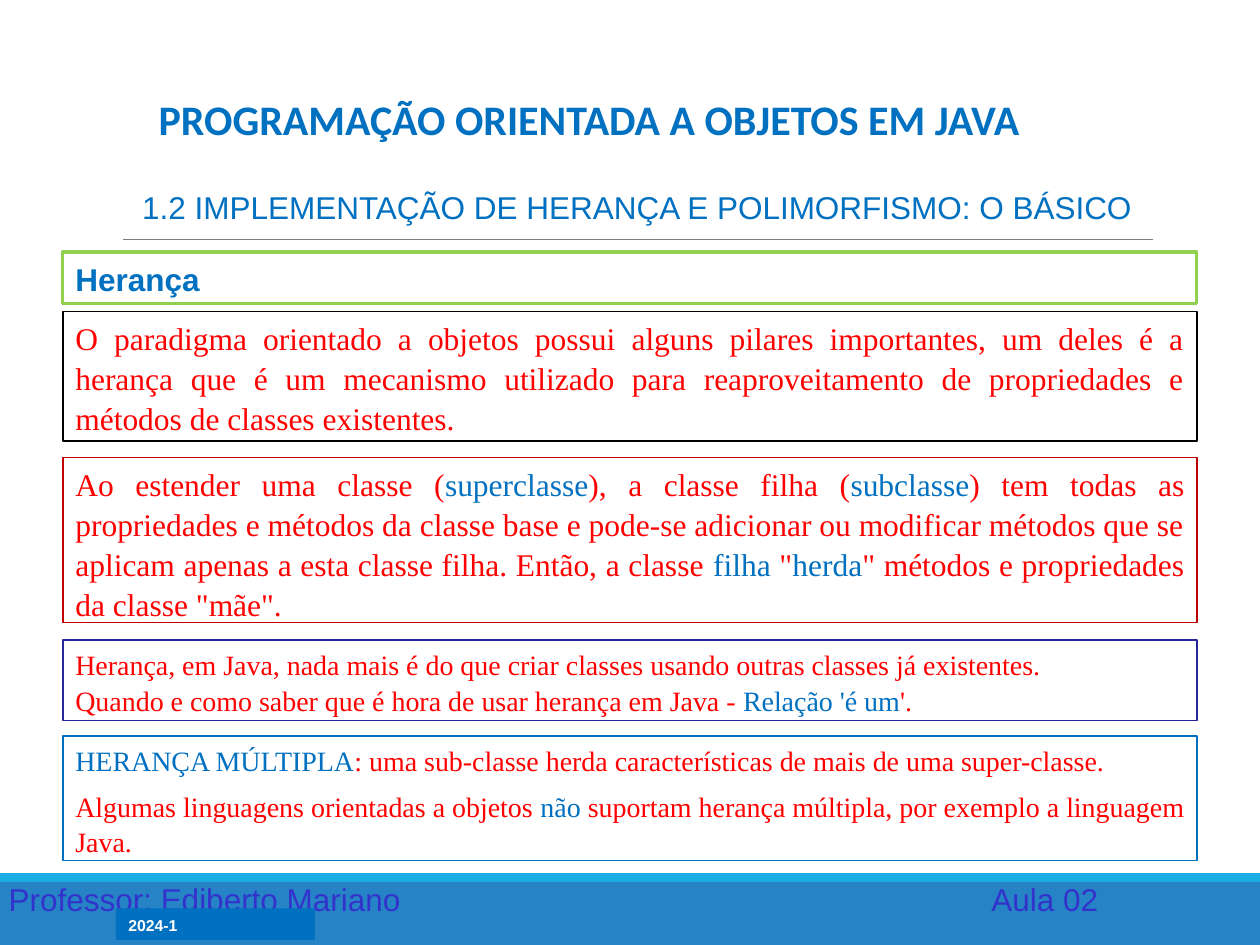
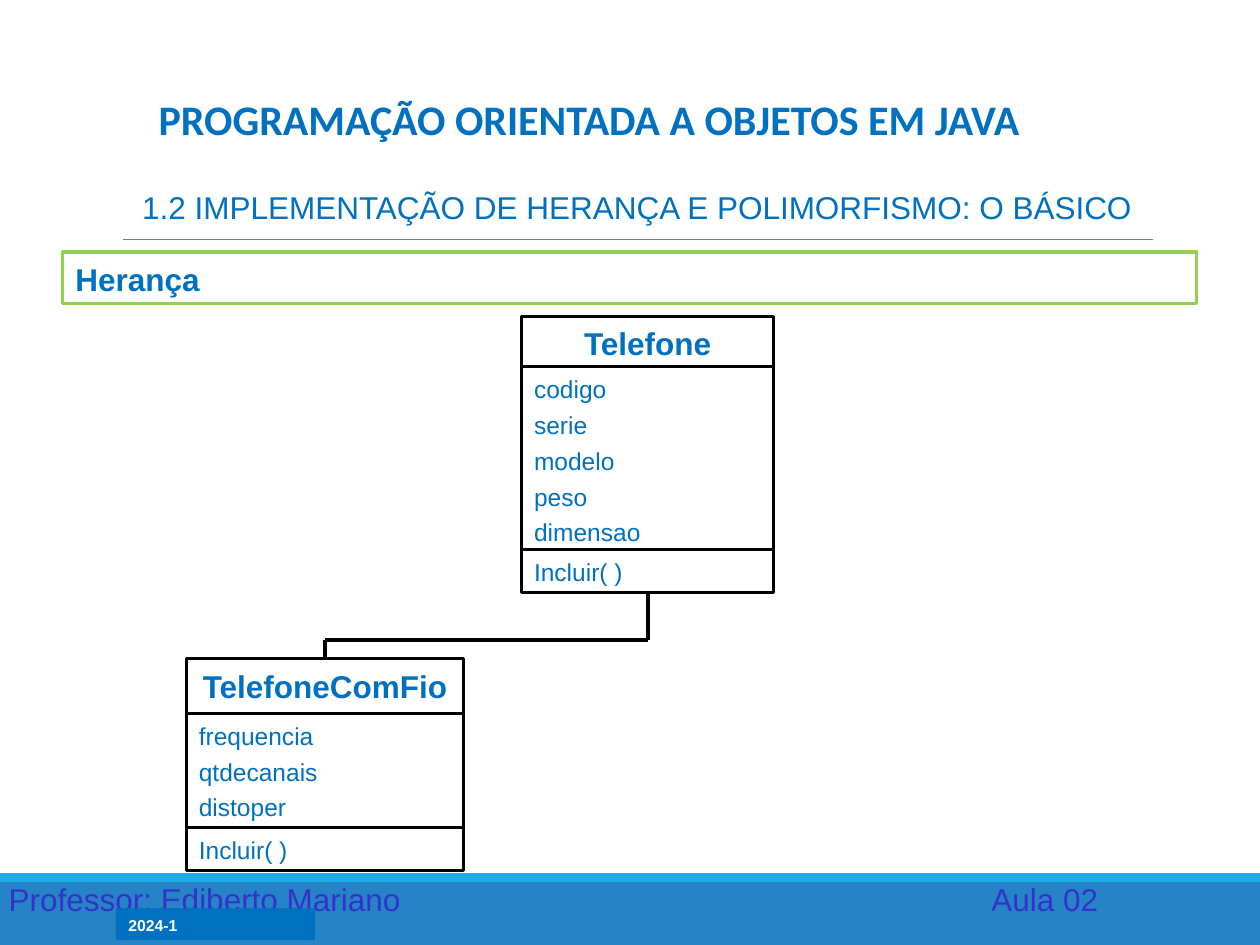
"""Builds two class slides on inheritance in Java."""
import lxml.etree
import pptx
import pptx.dml.color
import pptx.enum.shapes
import pptx.enum.text
import pptx.oxml.ns
import pptx.util

Inches = pptx.util.Inches
Pt = pptx.util.Pt
ALIGN = pptx.enum.text.PP_ALIGN
ANCHOR = pptx.enum.text.MSO_ANCHOR

HUES = {
    "blue": "0070C0", "red": "FF0000", "black": "000000", "white": "FFFFFF",
    "green": "92D050", "wine": "C00000", "navy": "262699", "violet": "3333CC",
    "band": "2683C6", "strip": "1CADE4", "gray": "7F7F7F",
}
SERIF = "Times New Roman"
NOTES = [
    (2.47, 1.03, "black", 18, 0, [
        "O paradigma orientado a objetos possui alguns pilares importantes, "
        "um deles é a herança que é um mecanismo utilizado para "
        "reaproveitamento de propriedades e métodos de classes existentes."]),
    (3.63, 1.31, "wine", 18, 0, [
        "Ao estender uma classe (*superclasse*), a classe filha (*subclasse*) "
        "tem todas as propriedades e métodos da classe base e pode-se "
        "adicionar ou modificar métodos que se aplicam apenas a esta classe "
        "filha. Então, a classe *filha* \"*herda*\" métodos e propriedades "
        "da classe \"mãe\"."]),
    (5.08, 0.64, "navy", 16, 0, [
        "Herança, em Java, nada mais é do que criar classes usando outras "
        "classes já existentes.",
        "Quando e como saber que é hora de usar herança em Java - "
        "*Relação 'é um*'."]),
    (5.84, 0.99, "blue", 16, 6, [
        "*HERANÇA MÚLTIPLA*: uma sub-classe herda características de mais de "
        "uma super-classe.",
        "Algumas linguagens orientadas a objetos *não* suportam herança "
        "múltipla, por exemplo a linguagem Java."]),
]


def tint(name):
    return pptx.dml.color.RGBColor.from_string(HUES[name])


def write(shape, lines, size=18, hue="blue", font="Arial", bold=False,
          align=ALIGN.LEFT, anchor=ANCHOR.TOP, gap=0, pitch=1.05, tab=None):
    """Fill a shape with paragraphs; parts between asterisks turn blue."""
    frame = shape.text_frame
    frame.word_wrap = True
    frame.auto_size = pptx.enum.text.MSO_AUTO_SIZE.NONE
    frame.vertical_anchor = anchor
    for i, line in enumerate(lines):
        para = frame.add_paragraph() if i else frame.paragraphs[0]
        para.alignment = align
        para.line_spacing = pitch
        para.space_before = Pt(gap if i else 0)
        if tab:
            props = para._p.get_or_add_pPr()
            tabs = lxml.etree.SubElement(props, pptx.oxml.ns.qn("a:tabLst"))
            lxml.etree.SubElement(tabs, pptx.oxml.ns.qn("a:tab"),
                                  pos=str(Inches(tab)), algn="l")
        for j, part in enumerate(line.split("*")):
            if part:
                run = para.add_run()
                run.text = part
                run.font.name = font
                run.font.size = Pt(size)
                run.font.bold = bold
                run.font.color.rgb = tint("blue" if j % 2 else hue)


def block(slide, x, y, w, h, fill=None, edge=None, width=0.75):
    shape = slide.shapes.add_shape(
        pptx.enum.shapes.MSO_SHAPE.RECTANGLE,
        Inches(x), Inches(y), Inches(w), Inches(h))
    shape.shadow.inherit = False
    if fill:
        shape.fill.solid()
        shape.fill.fore_color.rgb = tint(fill)
    else:
        shape.fill.background()
    if edge:
        shape.line.color.rgb = tint(edge)
        shape.line.width = Pt(width)
    else:
        shape.line.fill.background()
    return shape


def label(slide, x, y, w, h, text, **style):
    box = slide.shapes.add_textbox(Inches(x), Inches(y), Inches(w), Inches(h))
    write(box, [text], **style)


def link(slide, x1, y1, x2, y2, hue="black", width=2.25):
    line = slide.shapes.add_connector(
        pptx.enum.shapes.MSO_CONNECTOR.STRAIGHT,
        Inches(x1), Inches(y1), Inches(x2), Inches(y2))
    line.line.color.rgb = tint(hue)
    line.line.width = Pt(width)
    lxml.etree.SubElement(line._element.spPr, pptx.oxml.ns.qn("a:effectLst"))
    return line


def start(deck):
    """Add a slide with the shared title, topic, bands and footer."""
    slide = deck.slides.add_slide(deck.slide_layouts[5])
    block(slide, 0, 6.93, 10, 0.57, fill="band")
    block(slide, 0, 6.93, 10, 0.07, fill="strip")
    link(slide, 0.98, 1.9, 9.15, 1.9, hue="gray", width=0.5)
    label(slide, -0.03, 6.92, 9, 0.4, "Professor: Ediberto Mariano\tAula 02",
          hue="violet", tab=7.8)
    term = block(slide, 0.92, 7.21, 1.58, 0.25, fill="blue")
    write(term, ["2024-1"], size=9, hue="white", bold=True)
    topic = block(slide, 0.5, 2, 9, 0.41, edge="green", width=1.75)
    write(topic, ["Herança"], bold=True)
    label(slide, 1.03, 1.43, 8.67, 0.41,
          "1.2 IMPLEMENTAÇÃO DE HERANÇA E POLIMORFISMO: O BÁSICO")
    title = slide.shapes.title
    title.left, title.top = Inches(1.03), Inches(0.67)
    title.width, title.height = Inches(7.29), Inches(0.52)
    write(title, ["PROGRAMAÇÃO ORIENTADA A OBJETOS EM JAVA"], size=24,
          font="Calibri", bold=True, align=ALIGN.CENTER,
          anchor=ANCHOR.BOTTOM, pitch=1)
    return slide


def model(slide, x, y, w, sizes, name, fields):
    """Stack the name, fields and methods of a class; return the end boxes."""
    parts = []
    for h in sizes:
        parts.append(block(slide, x, y, w, h, edge="black", width=1.75))
        y += h
    write(parts[0], [name], bold=True, align=ALIGN.CENTER)
    write(parts[1], fields, size=14, gap=2.8)
    write(parts[2], ["Incluir( )"], size=14)
    return parts[0], parts[2]


def main():
    deck = pptx.Presentation()
    deck.slide_width, deck.slide_height = Inches(10), Inches(7.5)

    slide = start(deck)
    for y, h, edge, size, gap, lines in NOTES:
        write(block(slide, 0.5, y, 9, h, edge=edge), lines, size=size,
              hue="red", font=SERIF, align=ALIGN.JUSTIFY, gap=gap)

    slide = start(deck)
    base = model(slide, 4.14, 2.51, 2, [0.4, 1.45, 0.34], "Telefone",
                 ["codigo", "serie", "modelo", "peso", "dimensao"])[1]
    child = model(slide, 1.48, 5.23, 2.2, [0.43, 0.91, 0.34],
                  "TelefoneComFio", ["frequencia", "qtdecanais", "distoper"])[0]
    link(slide, 2.58, 5.23, 2.58, 5.08).begin_connect(child, 0)
    link(slide, 2.58, 5.08, 5.14, 5.08)
    link(slide, 5.14, 5.08, 5.14, 4.7).end_connect(base, 2)

    deck.save("out.pptx")


if __name__ == "__main__":
    main()
